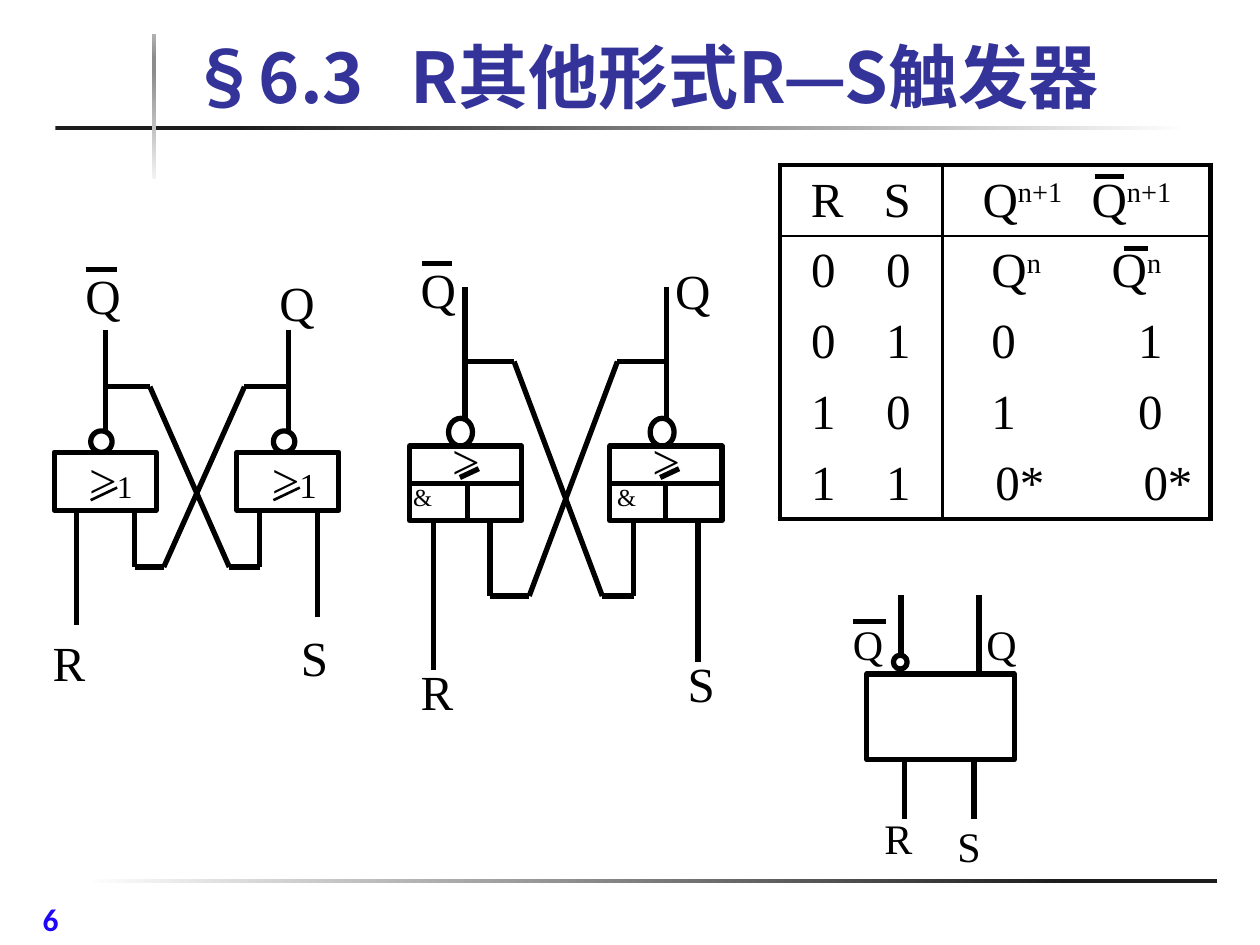
from itertools import pairwise

from lxml.etree import SubElement
from pptx import Presentation
from pptx.dml.color import RGBColor
from pptx.enum.shapes import MSO_CONNECTOR as CONN, MSO_SHAPE as SHAPE
from pptx.enum.text import MSO_ANCHOR as ANCHOR, MSO_AUTO_SIZE as AUTO, PP_ALIGN as ALIGN
from pptx.oxml.ns import qn
from pptx.util import Inches, Pt

COLS, ROWS = 100, 75  # square grid cells on the slide
SERIF, SANS, CJK = "Times New Roman", "Calibri", "Noto Sans CJK SC"
BLACK = "000000"


def cells(n):
    """Length of n grid cells."""
    return Inches(10 * n / COLS)


def rgb(value):
    return RGBColor.from_string(value)


def style_run(r, size, font=SERIF, color=BLACK, bold=False):
    r.font.size, r.font.name, r.font.bold = Pt(size), font, bold
    r.font.color.rgb = rgb(color)


def label(shapes, text, x, y, size=28, width=6, **style):
    box = shapes.add_textbox(*map(cells, (x, y, width, size / 5)))
    tf = box.text_frame
    tf.word_wrap = True
    tf.text = text
    style_run(tf.paragraphs[0].runs[0], size, **style)
    return tf.paragraphs[0]


def outline(shapes, kind, x, y, w, h):
    s = shapes.add_shape(kind, *map(cells, (x, y, w, h)))
    s.shadow.inherit = False
    s.fill.background()
    s.line.color.rgb, s.line.width = rgb(BLACK), Pt(3)


def wire(shapes, *points, width=3):
    """Straight lines from each point to the next."""
    for start, end in pairwise(points):
        c = shapes.add_connector(CONN.STRAIGHT, *map(cells, start + end))
        c.line.color.rgb, c.line.width = rgb(BLACK), Pt(width)
        SubElement(c._element.spPr, qn("a:effectLst"))


def gradient_bar(shapes, x, y, w, h, stops, angle=0):
    s = shapes.add_shape(SHAPE.RECTANGLE, *map(cells, (x, y, w, h)))
    s.shadow.inherit = False
    s.line.fill.background()
    s.fill.gradient()
    s.fill.gradient_angle = angle
    stop_list = s._element.spPr.find(qn("a:gradFill")).find(qn("a:gsLst"))
    for old in list(stop_list):
        stop_list.remove(old)
    for percent, color in stops:
        gs = SubElement(stop_list, qn("a:gs"), pos=str(percent * 1000))
        SubElement(gs, qn("a:srgbClr"), val=color)


def latch(shapes, gates, y, size, bubbles, bubble, outs, inputs, levels, reach, knees):
    """Two cross-coupled gates; levels are output, tap, low, R end and S end."""
    w, h = size
    top, tap, low, r_end, s_end = levels
    bottom = y + h
    for gate, bubble_x, out in zip(gates, bubbles, outs):
        outline(shapes, SHAPE.RECTANGLE, gate, y, w, h)
        outline(shapes, SHAPE.OVAL, bubble_x, y - bubble[1], *bubble)
        wire(shapes, (out, y - bubble[1]), (out, top))
    r_in, left_in, right_in, s_in = inputs
    wire(shapes, (r_in, bottom), (r_in, r_end))
    wire(shapes, (s_in, bottom), (s_in, s_end))
    feedback = ((outs[0], reach, knees[1], right_in), (outs[1], -reach, knees[0], left_in))
    for out, step, knee, target in feedback:
        wire(shapes, (out, tap), (out + step, tap), (knee, low), (target, low), (target, bottom))


def nor_latch(shapes):
    latch(shapes, (4.3, 18.8), 35.9, (8.1, 4.6), (7.2, 21.7), (1.7, 1.7), (8.4, 22.9),
          (6.1, 10.7, 20.6, 25.2), (26.2, 30.7, 45, 49.6, 49), 3.5, (13, 18.2))
    for text, x, y in (("R", 3.2, 49.7), ("S", 22.9, 49.3), ("Q", 21.2, 21.1), ("Q", 5.8, 20.6)):
        label(shapes, text, x, y)
    wire(shapes, (6.8, 21.4), (9.3, 21.4))
    for x, one_size in ((6.1, 18), (20.6, 20)):
        p = label(shapes, ">", x, 35.2)
        one = p.add_run()
        one.text = "1"
        style_run(one, one_size)
        wire(shapes, (x + 3.2, 38.7), (x + 1.1, 39.7), width=1.5)


def and_nor_latch(shapes):
    gates = (32.5, 48.4)
    latch(shapes, gates, 35.4, (8.9, 5.9), (35.6, 51.6), (1.9, 2.2), (36.9, 52.9),
          (34.4, 38.9, 50.3, 55.4), (22.8, 28.7, 47.3, 53.2, 52.5), 3.9, (42, 47.8))
    for text, x, y in (("R", 32.4, 52), ("S", 53.6, 51.4), ("Q", 52.6, 20.2), ("Q", 32.4, 20.1)):
        label(shapes, text, x, y)
    wire(shapes, (33.5, 20.9), (35.9, 20.9))
    for gate, middle, and_x in zip(gates, (37.1, 52.8), (31.8, 48)):
        wire(shapes, (gate - 0.1, 38.4), (gate + 9.1, 38.4))
        wire(shapes, (middle, 38.4), (middle, 41.4))
        label(shapes, ">", gate + 2.4, 33.7)
        wire(shapes, (gate + 5.5, 37.2), (gate + 4, 37.9))
        label(shapes, "&", and_x, 37.8, 14)


def latch_symbol(shapes):
    outline(shapes, SHAPE.RECTANGLE, 68.8, 53.5, 11.7, 6.8)
    outline(shapes, SHAPE.OVAL, 70.9, 52, 1.1, 1.1)
    for x, start, end in ((71.5, 52, 47.2), (77.7, 53.3, 47.2), (77.3, 60.2, 65), (71.8, 60.2, 65)):
        wire(shapes, (x, start), (x, end))
    for text, x, y in (("Q", 77.3, 48.6), ("Q", 66.7, 48.6), ("S", 75, 64.6), ("R", 69.2, 64)):
        label(shapes, text, x, y, 24)
    wire(shapes, (67.7, 49.3), (70.3, 49.3))


def set_border(cell, side, width):
    """Border on side L, R, T or B; a width of 0 hides it."""
    ln = SubElement(cell._tc.get_or_add_tcPr(), qn("a:ln" + side), w=str(Pt(width)))
    if width:
        SubElement(SubElement(ln, qn("a:solidFill")), qn("a:srgbClr"), val=BLACK)
    else:
        SubElement(ln, qn("a:noFill"))


def fill_cell(cell, text, shift):
    """Centred text; what follows ^ is raised, shift moves it sideways."""
    cell.margin_top = cell.margin_bottom = 0
    cell.margin_left, cell.margin_right = cells(max(2 * shift, 0)), cells(max(-2 * shift, 0))
    cell.vertical_anchor = ANCHOR.MIDDLE
    p = cell.text_frame.paragraphs[0]
    p.alignment = ALIGN.CENTER
    for i, part in enumerate(text.split("^")):
        r = p.add_run()
        r.text = part
        style_run(r, 28)
        if i:
            r.font._element.set("baseline", "30000")


def truth_table(shapes):
    rows = (
        (("R", "S", "Q^n+1", "Q^n+1"), (0.5, -0.4, 1, -1)),
        (("0", "0", "Q^n", "Q^n"), (0.2, -0.3, 0.5, -0.6)),
        (("0", "1", "0", "1"), (0.2, -0.3, -0.5, 0.5)),
        (("1", "0", "1", "0"), (0.2, -0.3, -0.5, 0.5)),
        (("1", "1", "0*", "0*"), (0.2, -0.3, 0.8, 1.9)),
    )
    widths = (6.5, 6.4, 10.7, 10.6)
    frame = shapes.add_table(len(rows), len(widths), *map(cells, (61.9, 13.1, sum(widths), 28.1)))
    table = frame.table
    table.first_row = table.horz_banding = False
    for column, width in zip(table.columns, widths):
        column.width = cells(width)
    for i, (texts, shifts) in enumerate(rows):
        table.rows[i].height = cells(5.62)
        for j, (text, shift) in enumerate(zip(texts, shifts)):
            cell = table.cell(i, j)
            fill_cell(cell, text, shift)
            set_border(cell, "L", {0: 3, 2: 1.5}.get(j, 0))
            set_border(cell, "R", {1: 1.5, 3: 3}.get(j, 0))
            set_border(cell, "T", {0: 3, 1: 1.5}.get(i, 0))
            set_border(cell, "B", {0: 1.5, 4: 3}.get(i, 0))
            cell.fill.background()
    wire(shapes, (86.9, 14), (89.2, 14))
    wire(shapes, (89.2, 19.7), (91.1, 19.7))


def set_title(title):
    title.left, title.top, title.width, title.height = map(cells, (14, 3.4, 86, 6.4))
    tf = title.text_frame
    tf.text = "§6.3\tR其他形式R—S触发器"
    tf.auto_size, tf.vertical_anchor = AUTO.NONE, ANCHOR.BOTTOM
    p = tf.paragraphs[0]
    p.alignment = ALIGN.LEFT
    tabs = SubElement(p._p.get_or_add_pPr(), qn("a:tabLst"))
    SubElement(tabs, qn("a:tab"), pos=str(cells(17.6)), algn="l")
    r = p.runs[0]
    style_run(r, 40, CJK, "333399", True)
    SubElement(r.font._element, qn("a:ea"), typeface=CJK)


def main():
    prs = Presentation()
    prs.slide_width, prs.slide_height = cells(COLS), cells(ROWS)
    slide = prs.slides.add_slide(prs.slide_layouts[5])
    shapes = slide.shapes
    gradient_bar(shapes, 6.6, 69.8, 90, 0.3, ((0, "FFFFFF"), (87, "1C1C1C")))
    gradient_bar(shapes, 4.4, 10, 90, 0.3, ((16, "1C1C1C"), (100, "FFFFFF")))
    gradient_bar(shapes, 12.1, 2.7, 0.3, 11.5,
                 ((0, "F2F2F2"), (74, "8C8C8C"), (83, "8C8C8C"), (100, "B2B2B2")), angle=90)
    label(shapes, "6", 2.4, 70.9, 18, font=SANS, color="1F08F8", bold=True)
    set_title(shapes.title)
    for draw in (nor_latch, and_nor_latch, latch_symbol):
        draw(shapes.add_group_shape().shapes)
    truth_table(shapes)
    prs.save("out.pptx")


if __name__ == "__main__":
    main()
